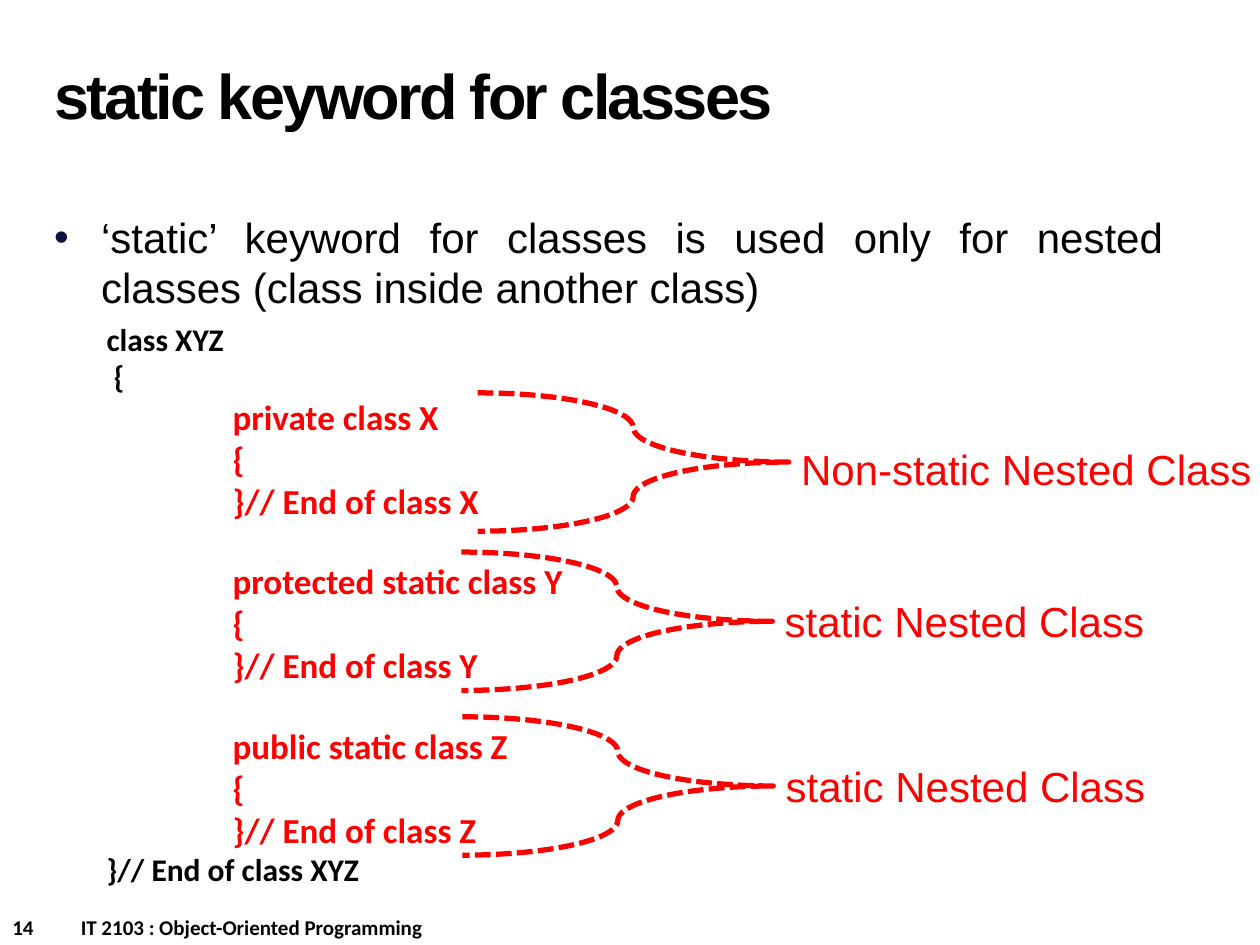
from dataclasses import dataclass

from lxml.etree import SubElement
from pptx import Presentation
from pptx.dml.color import RGBColor
from pptx.enum.dml import MSO_LINE_DASH_STYLE as Dash
from pptx.enum.shapes import MSO_SHAPE as Preset
from pptx.enum.text import MSO_ANCHOR as Anchor, MSO_AUTO_SIZE as AutoSize, PP_ALIGN as Align
from pptx.oxml.ns import qn
from pptx.util import Cm, Pt

COLORS = {"text": "000000", "accent": "FF0000", "bullet": "101141"}
BRACE_WIDTH, BRACE_HEIGHT = 6.27, 2.79
CODE_INDENT = 2.54
BLANK_LINE = 22  # points between two nested classes


@dataclass
class Note:
    """A brace beside a nested class, and the label at its point."""
    text: str
    left: float
    top: float
    label_top: float
    label_width: float


@dataclass
class CodeLine:
    text: str
    indent: float = 0
    size: int = 18
    color: str = "text"
    space_before: float = 0


NESTED_CLASSES = [("private class X", "X"), ("protected static class Y", "Y"),
                  ("public static class Z", "Z")]
NOTES = [
    Note("Non-static Nested Class", 9.63, 7.92, 8.81, 9.7),
    Note("static Nested Class", 9.3, 11.13, 11.89, 8.13),
    Note("static Nested Class", 9.32, 14.45, 15.21, 8.13),
]


def rgb(name: str) -> RGBColor:
    return RGBColor.from_string(COLORS[name])


def write(paragraph, text: str, size: int, font: str = "Arial",
          color: str = "text", bold: bool = False):
    run = paragraph.add_run()
    run.text = text
    for name, value in {"size": Pt(size), "name": font, "bold": bold}.items():
        setattr(run.font, name, value)
    run.font.color.rgb = rgb(color)
    return run


def set_indent(paragraph, margin: float, first_line: float = 0):
    properties = paragraph._p.get_or_add_pPr()
    properties.set("marL", str(Cm(margin)))
    properties.set("indent", str(Cm(first_line)))
    return properties


def add_text_frame(slide, left: float, top: float, width: float, height: float,
                   wrap: bool = True):
    box = slide.shapes.add_textbox(Cm(left), Cm(top), Cm(width), Cm(height))
    box.text_frame.word_wrap = wrap
    return box.text_frame


def add_title(slide, text: str) -> None:
    title = slide.shapes.title
    place = {"left": Cm(0.84), "top": Cm(0.43), "width": Cm(17.58), "height": Cm(3.18)}
    for name, value in place.items():
        setattr(title, name, value)
    frame = title.text_frame
    frame.auto_size = AutoSize.NONE
    frame.vertical_anchor = Anchor.MIDDLE
    paragraph = frame.paragraphs[0]
    paragraph.alignment = Align.LEFT
    paragraph.line_spacing = Pt(36)
    run = write(paragraph, text, 36, bold=True)
    run._r.get_or_add_rPr().set("spc", "-150")


def add_bullet(slide, text: str) -> None:
    paragraph = add_text_frame(slide, 0.84, 4.14, 22.86, 12.57).paragraphs[0]
    paragraph.alignment = Align.JUSTIFY
    paragraph.space_before = Pt(4.8)
    properties = set_indent(paragraph, 0.95, -0.95)
    color = SubElement(properties, qn("a:buClr"))
    SubElement(color, qn("a:srgbClr"), val=COLORS["bullet"])
    SubElement(properties, qn("a:buFont"), typeface="Arial")
    SubElement(properties, qn("a:buChar"), char="•")
    write(paragraph, text, 24)


def code_lines() -> list[CodeLine]:
    lines = [CodeLine("class XYZ"), CodeLine("{", indent=0.14)]
    for index, (header, name) in enumerate(NESTED_CLASSES):
        for row, text in enumerate([header, "{", f"}}// End of class {name}"]):
            gap = BLANK_LINE if index and row == 0 else 0
            lines.append(CodeLine(text, CODE_INDENT, 20, "accent", gap))
    return lines + [CodeLine("}// End of class XYZ")]


def add_code(slide) -> None:
    frame = add_text_frame(slide, 1.9, 6.32, 11.81, 11.79)
    for index, line in enumerate(code_lines()):
        paragraph = frame.add_paragraph() if index else frame.paragraphs[0]
        paragraph.space_before = Pt(line.space_before)
        set_indent(paragraph, line.indent)
        write(paragraph, line.text, line.size, "Calibri", line.color, bold=True)


def add_note(slide, note: Note) -> None:
    brace = slide.shapes.add_shape(Preset.RIGHT_BRACE, Cm(note.left), Cm(note.top),
                                   Cm(BRACE_WIDTH), Cm(BRACE_HEIGHT))
    brace.shadow.inherit = False
    brace.adjustments[0], brace.adjustments[1] = 0.25, 0.5
    brace.fill.background()
    brace.line.color.rgb = rgb("accent")
    for name, value in {"width": Pt(3), "dash_style": Dash.SQUARE_DOT}.items():
        setattr(brace.line, name, value)
    frame = add_text_frame(slide, note.left + BRACE_WIDTH, note.label_top,
                           note.label_width, 1.27, wrap=False)
    write(frame.paragraphs[0], note.text, 24, color="accent")


def add_footer(slide, number: int, course: str) -> None:
    paragraph = add_text_frame(slide, 0, 18.31, 12.7, 0.76).paragraphs[0]
    tabs = SubElement(paragraph._p.get_or_add_pPr(), qn("a:tabLst"))
    SubElement(tabs, qn("a:tab"), pos=str(Cm(1.38)), algn="l")
    write(paragraph, f"{number}\t{course}", 12, "Calibri", bold=True)


def main() -> None:
    presentation = Presentation()
    presentation.slide_width, presentation.slide_height = Cm(25.4), Cm(19.05)
    slide = presentation.slides.add_slide(presentation.slide_layouts[5])

    # Heading and statement
    add_title(slide, "static keyword for classes")
    add_bullet(slide, "‘static’ keyword for classes is used only for nested "
                      "classes (class inside another class)")

    # Code with a braced note for each nested class
    add_code(slide)
    for note in NOTES:
        add_note(slide, note)

    add_footer(slide, 14, "IT 2103 : Object-Oriented Programming")
    presentation.save("out.pptx")


if __name__ == "__main__":
    main()
